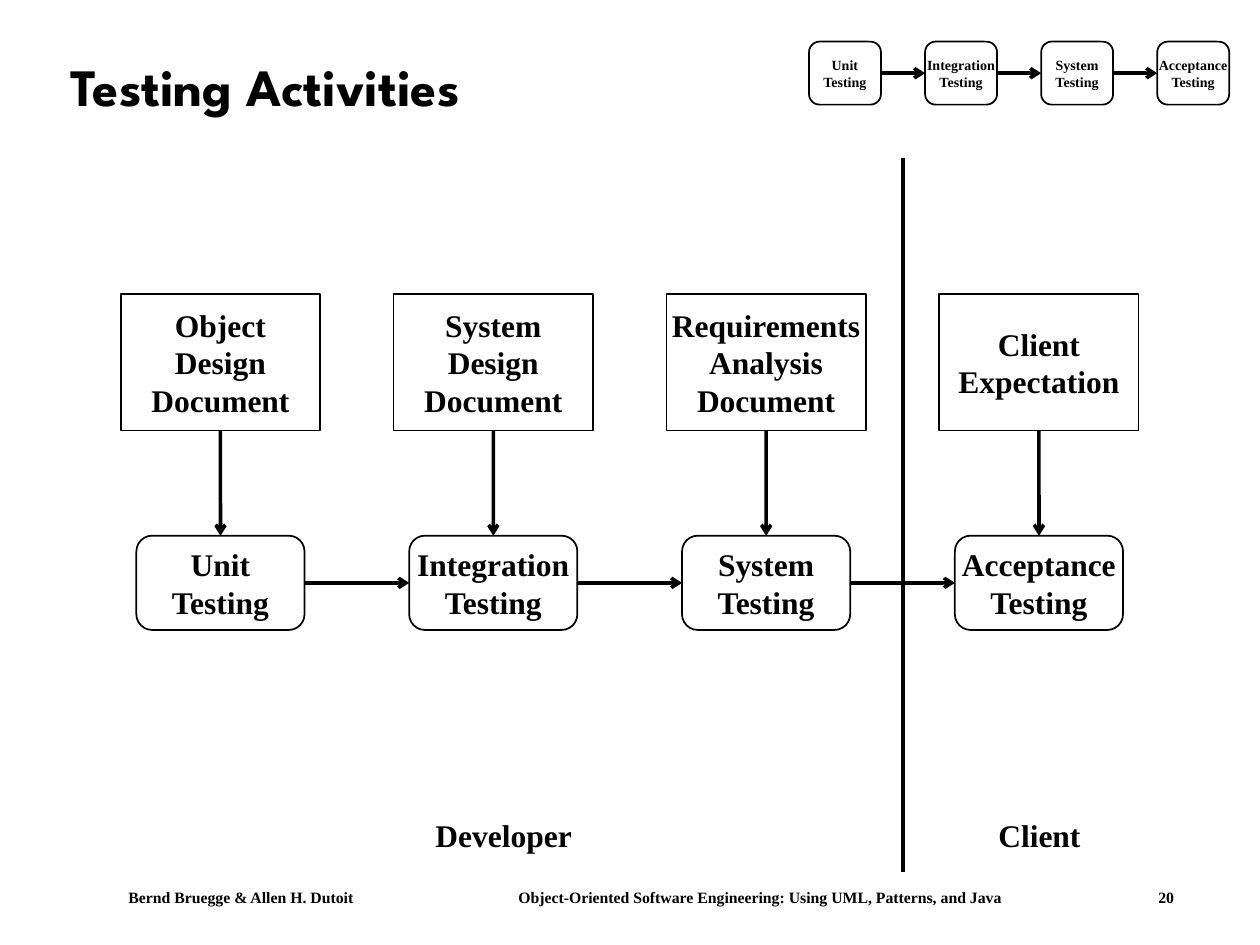
from lxml.etree import SubElement
from pptx import Presentation
from pptx.dml.color import RGBColor
from pptx.enum.shapes import MSO_CONNECTOR, MSO_SHAPE
from pptx.enum.text import MSO_ANCHOR, PP_ALIGN
from pptx.oxml.ns import qn
from pptx.util import Cm, Pt

COLORS = {"ink": "000000", "paper": "FFFFFF"}
BODY_FONT = "Times New Roman"
TITLE_FONT = "League Spartan"
TOP, LEFT, BOTTOM, RIGHT = range(4)


def color(name):
    return RGBColor.from_string(COLORS[name])


def write(frame, text, size=18, font=BODY_FONT, align=PP_ALIGN.CENTER,
          anchor=MSO_ANCHOR.MIDDLE, wrap=True, spacing=None, tabs=()):
    frame.text = text
    frame.word_wrap = wrap
    frame.vertical_anchor = anchor
    for paragraph in frame.paragraphs:
        paragraph.alignment = align
        if spacing:
            paragraph.line_spacing = spacing
        if tabs:
            stops = SubElement(paragraph._p.get_or_add_pPr(), qn("a:tabLst"))
            for stop in tabs:
                SubElement(stops, qn("a:tab"), pos=str(Cm(stop)), algn="l")
        for line_break in paragraph._p.findall(qn("a:br")):
            SubElement(line_break, qn("a:rPr"), sz=str(size * 100))
        for run in paragraph.runs:
            run.font.name = font
            run.font.size = Pt(size)
            run.font.bold = True
            run.font.color.rgb = color("ink")


class Diagram:
    def __init__(self, slide, outline=1, stroke=2):
        self.shapes = slide.shapes
        self.outline = Pt(outline)
        self.stroke = Pt(stroke)

    def label(self, text, left, top, width, height, inset=0.25, **style):
        frame = self.shapes.add_textbox(Cm(left), Cm(top), Cm(width), Cm(height)).text_frame
        frame.margin_left = Cm(inset)
        write(frame, text, **style)

    def box(self, text, left, top, width, height, kind=MSO_SHAPE.RECTANGLE, size=18):
        box = self.shapes.add_shape(kind, Cm(left), Cm(top), Cm(width), Cm(height))
        box.shadow.inherit = False
        box.fill.solid()
        box.fill.fore_color.rgb = color("paper")
        box.line.color.rgb = color("ink")
        box.line.width = self.outline
        write(box.text_frame, text, size=size, wrap=False)
        return box

    def line(self, x1=0, y1=0, x2=0, y2=0):
        line = self.shapes.add_connector(MSO_CONNECTOR.STRAIGHT, Cm(x1), Cm(y1), Cm(x2), Cm(y2))
        line.line.color.rgb = color("ink")
        line.line.width = self.stroke
        SubElement(line._element.spPr, qn("a:effectLst"))
        return line

    def arrow(self, source, source_side, target, target_side):
        arrow = self.line()
        arrow.begin_connect(source, source_side)
        arrow.end_connect(target, target_side)
        SubElement(arrow.line._get_or_add_ln(), qn("a:tailEnd"), type="arrow")

    def chain(self, texts, left, top, width, height, pitch, size):
        steps = [self.box(text, left + i * pitch, top, width, height,
                          MSO_SHAPE.ROUNDED_RECTANGLE, size)
                 for i, text in enumerate(texts)]
        for step, following in zip(steps, steps[1:]):
            self.arrow(step, RIGHT, following, LEFT)
        return steps


def main():
    deck = Presentation()
    deck.slide_width, deck.slide_height = Cm(25.4), Cm(19.05)
    diagram = Diagram(deck.slides.add_slide(deck.slide_layouts[6]))

    activities = [f"{name}\vTesting" for name in ("Unit", "Integration", "System", "Acceptance")]
    documents = ["Object\vDesign\nDocument", "System\vDesign\nDocument",
                 "Requirements\vAnalysis\nDocument", "Client\nExpectation"]

    diagram.label("Bernd Bruegge & Allen H. Dutoit\t"
                  "Object-Oriented Software Engineering: Using UML, Patterns, and Java\t20",
                  1.48, 17.78, 23.29, 0.64, inset=1.11, size=9, align=PP_ALIGN.LEFT,
                  anchor=MSO_ANCHOR.TOP, tabs=(7.86, 20.76))
    diagram.label("Testing Activities", 1.17, 0.61, 22.66, 2.39, size=30,
                  font=TITLE_FONT, align=PP_ALIGN.LEFT, spacing=0.9)

    left, pitch, test_width, document_width = 2.75, 5.5, 3.39, 4.02
    tests = diagram.chain(activities, left, 10.8, test_width, 1.9, pitch, 18)
    document_left = left + (test_width - document_width) / 2
    for i, (text, test) in enumerate(zip(documents, tests)):
        document = diagram.box(text, document_left + i * pitch, 5.93, document_width, 2.75)
        diagram.arrow(document, BOTTOM, test, TOP)

    diagram.line(18.2, 3.18, 18.2, 17.57)
    for party, party_left in (("Developer", 8.25), ("Client", 19.05)):
        diagram.label(party, party_left, 16.32, 3.81, 1.02)

    diagram.chain(activities, 16.31, 0.84, 1.45, 1.27, 2.34, 8)
    deck.save("out.pptx")


if __name__ == "__main__":
    main()
